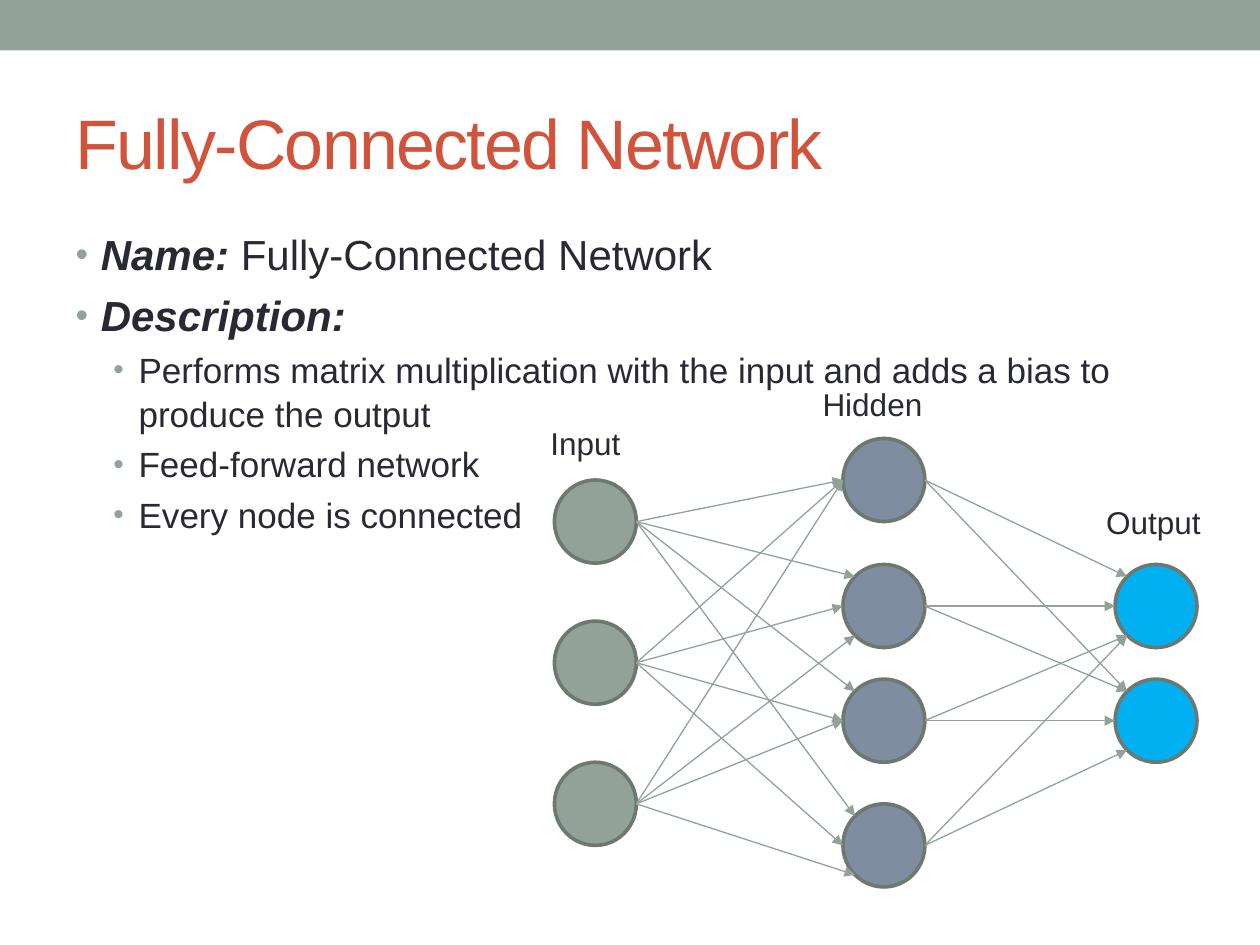
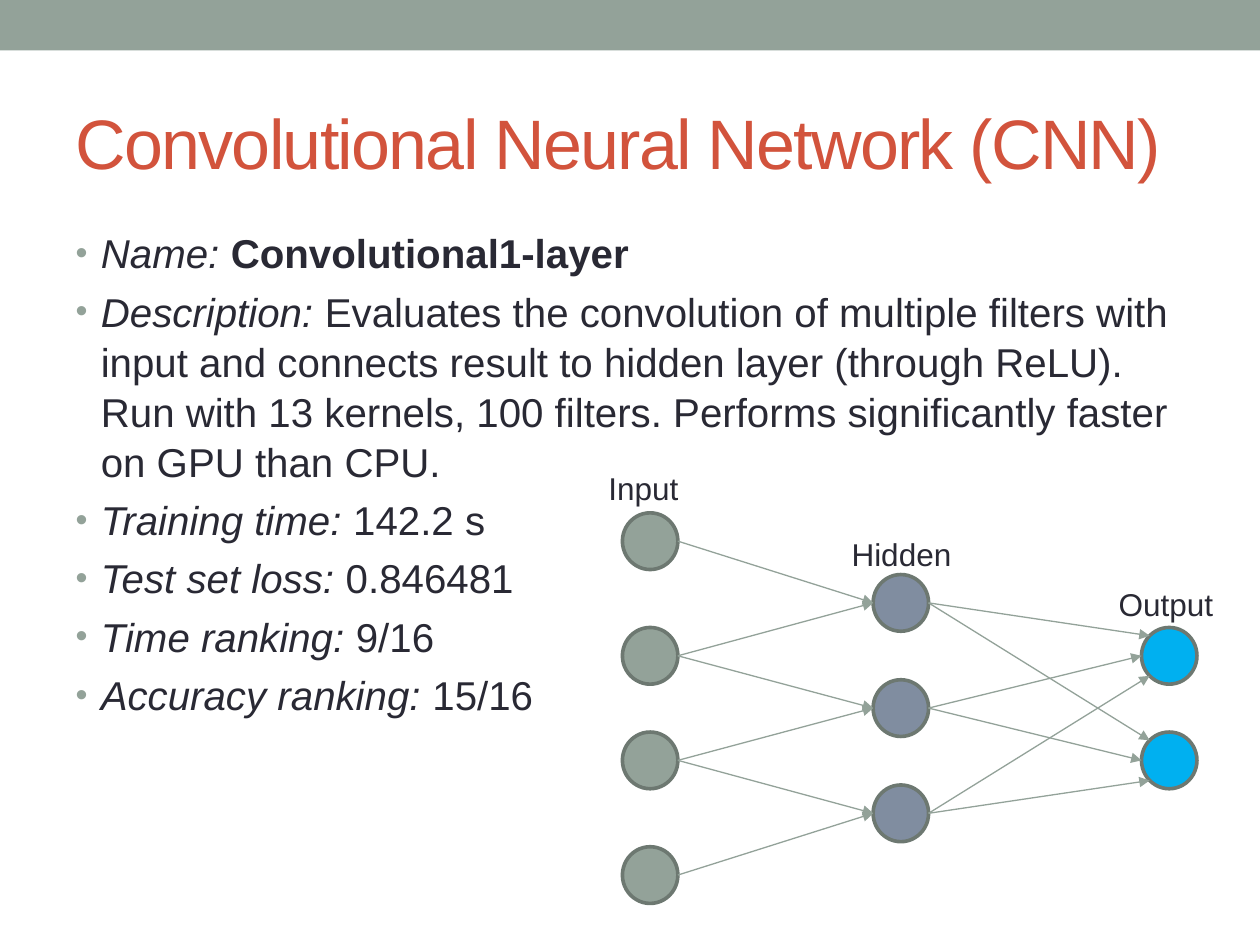
import math

import pptx
import pptx.dml.color
import pptx.enum.shapes
import pptx.enum.text
import pptx.oxml
import pptx.oxml.ns
import pptx.util

COLUMNS, ROWS = 100, 75
SLIDE_WIDTH, SLIDE_HEIGHT = pptx.util.Inches(10), pptx.util.Inches(7.5)
SAGE, SLATE, SKY, OUTLINE = "93A299", "808DA0", "00B0F0", "6D7871"
TITLE_COLOR, TEXT_COLOR = "D2533C", "292934"
LABEL = {"bold": True, "italic": True}
ITALIC = {"italic": True}
BOLD = {"bold": True}
PLAIN = {}


def color(value):
    """Turn a hex string into a colour."""
    return pptx.dml.color.RGBColor.from_string(value)


def grid(left, top, width, height):
    """Turn grid columns and rows into a slide box."""
    column, row = SLIDE_WIDTH / COLUMNS, SLIDE_HEIGHT / ROWS
    return [round(length * unit) for length, unit in zip((left, top, width, height), (column, row) * 2)]


def format_values(target, values):
    """Set each named value on the target."""
    for name, value in values.items():
        setattr(target, name, value)


def format_font(font, size, text_color, **values):
    """Set the deck's typeface with a size, a colour and any further values."""
    format_values(font, {"name": "Arial", "size": pptx.util.Pt(size), **values})
    font.color.rgb = color(text_color)


def place(shape, box):
    """Move a shape to a grid box."""
    format_values(shape, dict(zip(("left", "top", "width", "height"), grid(*box))))


def add_filled_shape(slide, preset, box, fill, outline=None):
    """Add a preset shape with a flat fill and an optional outline."""
    shape = slide.shapes.add_shape(preset, *grid(*box))
    shape.shadow.inherit = False
    shape.fill.solid()
    shape.fill.fore_color.rgb = color(fill)
    if outline:
        shape.line.color.rgb = color(outline)
        shape.line.width = pptx.util.Pt(2.08)
    else:
        shape.line.fill.background()
    return shape


def add_title(slide, text):
    """Fill the title placeholder."""
    title = slide.shapes.title
    place(title, (5, 5.8, 90, 10.8))
    format_values(title.text_frame, {
        "text": text,
        "auto_size": pptx.enum.text.MSO_AUTO_SIZE.NONE,
        "vertical_anchor": pptx.enum.text.MSO_ANCHOR.MIDDLE,
    })
    paragraph = title.text_frame.paragraphs[0]
    paragraph.alignment = pptx.enum.text.PP_ALIGN.LEFT
    run = paragraph.runs[0]
    format_font(run.font, 40, TITLE_COLOR)
    run.font.element.set("spc", "-100") if hasattr(run.font, "element") else run._r.get_or_add_rPr().set("spc", "-100")


def add_bullet(paragraph, level):
    """Give a paragraph its indent and a sage bullet."""
    properties = paragraph._p.get_or_add_pPr()
    properties.set("marL", str(pptx.util.Inches(0.2 + 0.3 * level)))
    properties.set("indent", str(pptx.util.Inches(-0.2)))
    namespace = pptx.oxml.ns.nsdecls("a")
    for markup in (
        f'<a:buClr {namespace}><a:srgbClr val="{SAGE}"/></a:buClr>',
        f'<a:buSzPct {namespace} val="85000"/>',
        f'<a:buFont {namespace} typeface="Arial"/>',
        f'<a:buChar {namespace} char="•"/>',
    ):
        properties.append(pptx.oxml.parse_xml(markup))


def add_list(slide, items):
    """Fill the body placeholder with items of level, size and styled runs."""
    body = slide.placeholders[1]
    place(body, (5, 17.5, 90, 53.3))
    frame = body.text_frame
    frame.auto_size = pptx.enum.text.MSO_AUTO_SIZE.NONE
    for index, (level, size, runs) in enumerate(items):
        paragraph = frame.add_paragraph() if index else frame.paragraphs[0]
        format_values(paragraph, {
            "level": level,
            "line_spacing": 1.04,
            "space_before": pptx.util.Pt(0.2 * size if index else 0),
            "space_after": pptx.util.Pt(0),
        })
        add_bullet(paragraph, level)
        for text, style in runs:
            run = paragraph.add_run()
            run.text = text
            format_font(run.font, size, TEXT_COLOR, **style)


def add_label(slide, text, left, top, width):
    """Add the name of a network layer."""
    frame = slide.shapes.add_textbox(*grid(left, top, width, 4)).text_frame
    format_values(frame, {"word_wrap": True, "text": text})
    format_font(frame.paragraphs[0].runs[0].font, 18, TEXT_COLOR)


def add_arrow(slide, start, end):
    """Add a thin arrow between two slide points."""
    arrow = slide.shapes.add_connector(pptx.enum.shapes.MSO_CONNECTOR.STRAIGHT, *start, *end)
    arrow.line.color.rgb = color(SAGE)
    arrow.line.width = pptx.util.Pt(0.75)
    namespace = pptx.oxml.ns.nsdecls("a")
    properties = arrow._element.spPr
    line = properties.find(pptx.oxml.ns.qn("a:ln"))
    line.append(pptx.oxml.parse_xml(f'<a:tailEnd {namespace} type="triangle"/>'))
    properties.append(pptx.oxml.parse_xml(f"<a:effectLst {namespace}/>"))


def node_point(node, side):
    """Find a node's right, left, upper-left or lower-left rim point."""
    angle = math.radians({"R": 0, "L": 180, "U": 225, "D": 135}[side])
    return (
        round(node.left + node.width / 2 * (1 + math.cos(angle))),
        round(node.top + node.height / 2 * (1 + math.sin(angle))),
    )


def add_network(slide, node_size, layers, links):
    """Draw node layers and link each to the next at the rim sides given."""
    oval = pptx.enum.shapes.MSO_SHAPE.OVAL
    node_layers = [
        [add_filled_shape(slide, oval, (left, top, *node_size), fill, OUTLINE) for top in tops]
        for left, tops, fill in layers
    ]
    for sources, targets, link_rows in zip(node_layers, node_layers[1:], links):
        for source, sides in zip(sources, link_rows):
            for target, side in zip(targets, sides):
                if side != "-":
                    add_arrow(slide, node_point(source, "R"), node_point(target, side))


def add_network_slide(presentation, title, items, network, labels):
    """Add a slide with a band, a title, a list and a labelled network."""
    slide = presentation.slides.add_slide(presentation.slide_layouts[1])
    add_filled_shape(slide, pptx.enum.shapes.MSO_SHAPE.RECTANGLE, (0, 0, COLUMNS, 4), SAGE)
    add_title(slide, title)
    add_list(slide, items)
    add_network(slide, *network)
    for label in labels:
        add_label(slide, *label)


def main():
    """Build both network slides."""
    presentation = pptx.Presentation()
    format_values(presentation, {"slide_width": SLIDE_WIDTH, "slide_height": SLIDE_HEIGHT})
    add_network_slide(
        presentation,
        "Fully-Connected Network",
        [
            (0, 24, [("Name:", LABEL), (" Fully-Connected Network", PLAIN)]),
            (0, 24, [("Description:", LABEL)]),
            (1, 20, [("Performs matrix multiplication with the input and adds a bias to produce the output", PLAIN)]),
            (1, 20, [("Feed-forward network", PLAIN)]),
            (1, 20, [("Every node is connected", PLAIN)]),
        ],
        (
            (6.5, 6.6),
            [
                (44, [38.1 + 11.2 * row for row in range(3)], SAGE),
                (66.9, [34.8, 44.8, 53.9, 63.8], SLATE),
                (88.5, [44.8, 53.9], SKY),
            ],
            [["LUUU", "LLLL", "LDLD"], ["UU", "LU", "DL", "DD"]],
        ),
        [("Input", 42.7, 33.2, 9.1), ("Hidden", 64.3, 30.1, 12), ("Output", 86.8, 39.4, 11.5)],
    )
    add_network_slide(
        presentation,
        "Convolutional Neural Network (CNN)",
        [
            (0, 23, [("Name: ", ITALIC), ("Convolutional1-layer", BOLD)]),
            (0, 23, [
                ("Description:", ITALIC),
                (" Evaluates the convolution of multiple filters with input and connects result to hidden layer "
                 "(through ReLU). Run with 13 kernels, 100 filters. Performs significantly faster on GPU than CPU.",
                 PLAIN),
            ]),
            (0, 23, [("Training time: ", ITALIC), ("142.2 s", PLAIN)]),
            (0, 23, [("Test set loss:", ITALIC), (" 0.846481", PLAIN)]),
            (0, 23, [("Time ranking: ", ITALIC), ("9/16", PLAIN)]),
            (0, 23, [("Accuracy ranking: ", ITALIC), ("15/16", PLAIN)]),
        ],
        (
            (4.4, 4.5),
            [
                (49.4, [40.7, 49.8, 58.1, 67.2], SAGE),
                (69.3, [45.6 + 8.35 * row for row in range(3)], SLATE),
                (90.6, [49.8, 58.1], SKY),
            ],
            [["L--", "LL-", "-LL", "--L"], ["UU", "LL", "DD"]],
        ),
        [("Input", 47.3, 36.7, 7.6), ("Hidden", 66.6, 42, 10.1), ("Output", 87.8, 45.9, 9.9)],
    )
    presentation.save("out.pptx")


if __name__ == "__main__":
    main()
